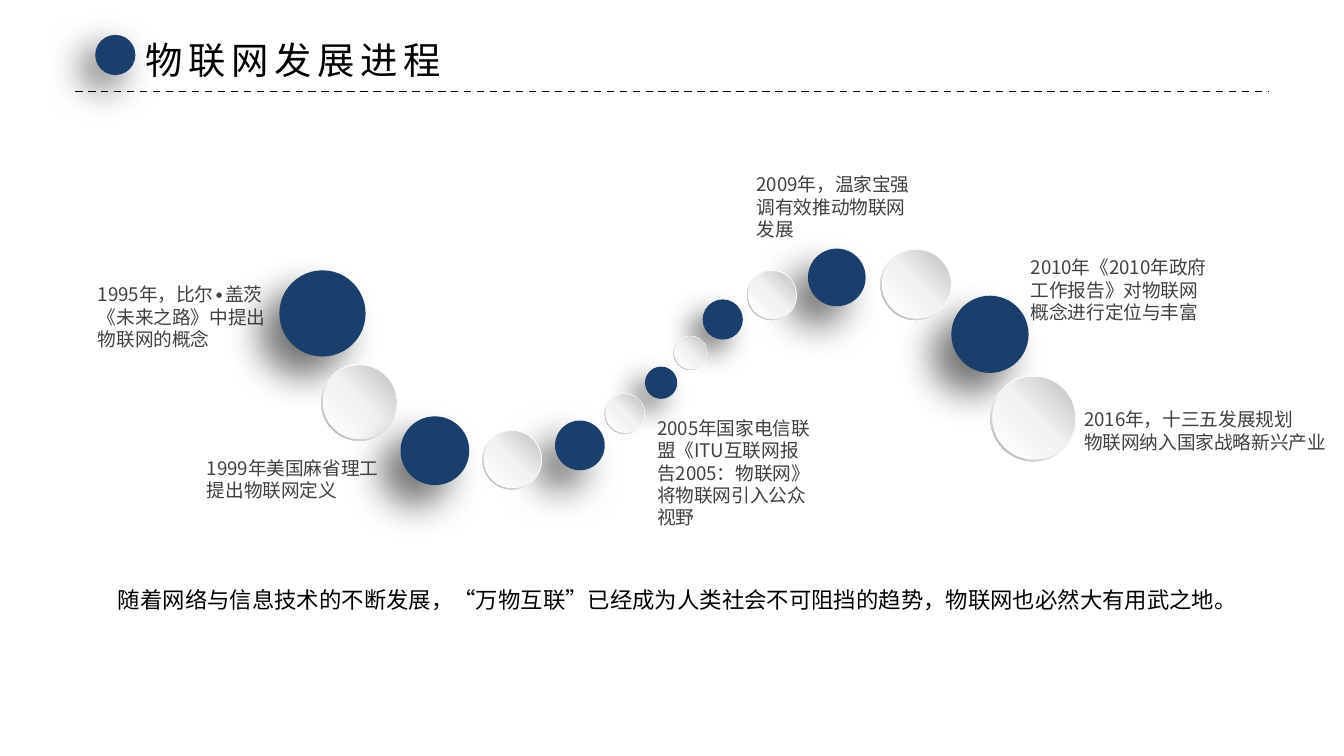
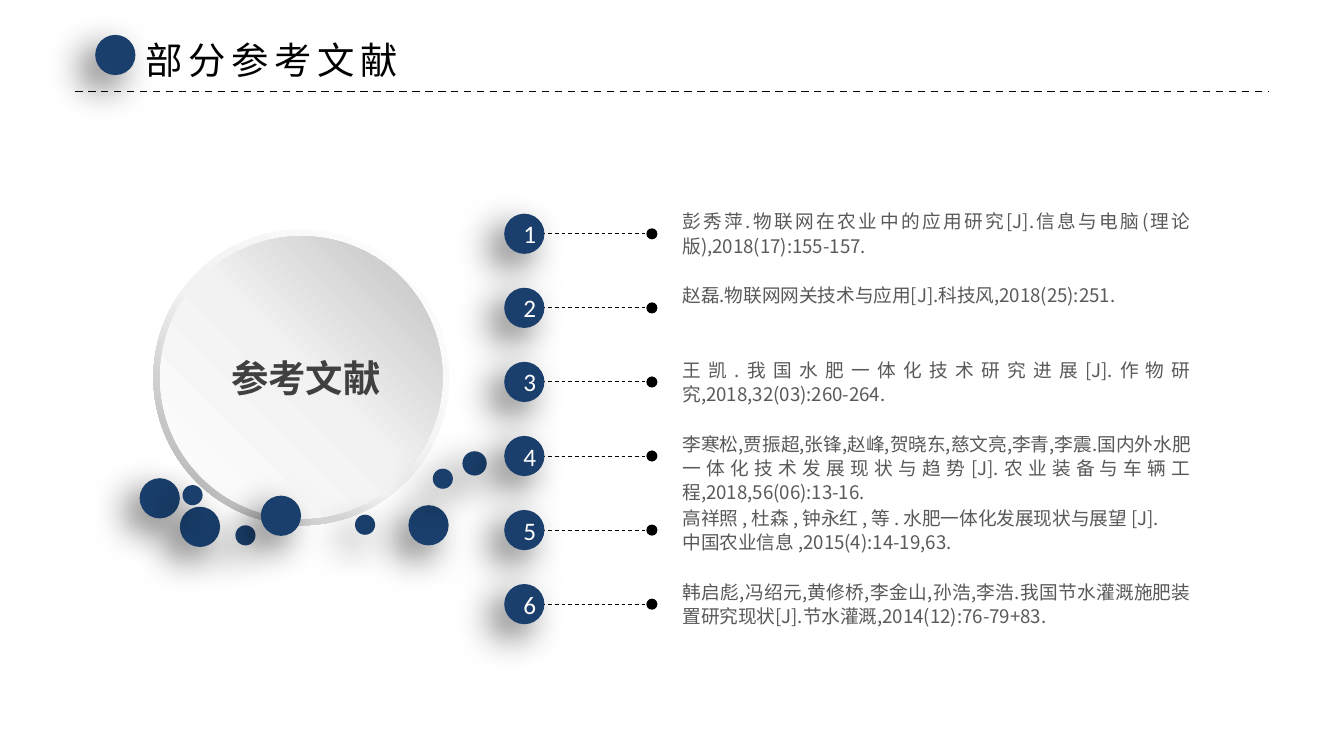
"""Build two slides on the Internet of Things: its history and the references."""
from lxml import etree
from pptx import Presentation
from pptx import util as u
from pptx.dml.color import RGBColor
from pptx.enum import dml, shapes, text
from pptx.oxml import parse_xml
from pptx.oxml.ns import nsdecls, qn


class Theme:
    navy, white, black = "1A3F6C", "FFFFFF", "000000"
    font, number_font, dot_font = "Noto Sans CJK SC", "Calibri", "Arial"
    number_size = 13.5
    title = dict(size=20, color=black, wrap=False, spc=300)
    note = dict(size=10, color="404040")
    long_note = dict(note, wrap=False)
    summary = dict(size=12, color=black, wrap=False)
    source = dict(size=10, color="595959", inset=False, leading=13,
                  align=text.PP_ALIGN.JUSTIFY)
    hub = dict(size=20, color="404040", inset=False, bold=True,
               align=text.PP_ALIGN.CENTER)
    shadows = dict(header=(60, 20, 10), large=(54, 20, 15), small=(50, 15, 10))
    rim = (135, ((0, "FFFFFF"), (55, "F2F2F2"), (100, "A6A6A6")))
    face = (315, ((0, "FFFFFF"), (51, "F2F2F2"), (100, "BFBFBF")))


def ball(s, x, y, d, kind="header"):
    """Draw a navy ball with a shadow, or a silver disc with a rim."""
    if kind == "silver":
        edge = 0.0225 * d
        parent = s.shapes.add_group_shape().shapes
        layers = [(shapes.MSO_SHAPE.DONUT, 0, Theme.rim),
                  (shapes.MSO_SHAPE.OVAL, edge, Theme.face)]
    else:
        parent = s.shapes
        layers = [(shapes.MSO_SHAPE.OVAL, 0, None)]
    for preset, gap, gradient in layers:
        side = u.Cm(d - 2 * gap)
        sp = parent.add_shape(preset, u.Cm(x + gap), u.Cm(y + gap), side, side)
        spPr = sp._element.spPr
        if gradient:
            angle, stops = gradient
            gs = "".join(f'<a:gs pos="{pos * 1000}"><a:srgbClr val="{color}"/></a:gs>'
                         for pos, color in stops)
            spPr.append(parse_xml(
                f'<a:gradFill {nsdecls("a")} rotWithShape="1"><a:gsLst>{gs}</a:gsLst>'
                f'<a:lin ang="{angle * 60000}" scaled="0"/></a:gradFill>'))
        else:
            sp.fill.solid()
            sp.fill.fore_color.rgb = RGBColor.from_string(Theme.navy)
        sp.line.fill.background()
        sp.shadow.inherit = False
        if preset == shapes.MSO_SHAPE.DONUT:
            sp.adjustments[0] = 0.049
        if not gradient:
            alpha, blur, dist = Theme.shadows[kind]
            spPr.find(qn("a:effectLst")).append(parse_xml(
                f'<a:outerShdw {nsdecls("a")} blurRad="{u.Pt(blur)}" dist="{u.Pt(dist)}" '
                f'dir="{135 * 60000}" algn="tr" rotWithShape="0">'
                f'<a:srgbClr val="{Theme.black}"><a:alpha val="{alpha * 1000}"/></a:srgbClr>'
                '</a:outerShdw>'))
    return sp


def write(s, box, lines, size, color, wrap=True, inset=True, align=None,
          leading=None, bold=None, spc=None):
    """Add a text box with one paragraph per line."""
    tf = s.shapes.add_textbox(*map(u.Cm, box)).text_frame
    tf.word_wrap = wrap
    tf.auto_size = text.MSO_AUTO_SIZE.SHAPE_TO_FIT_TEXT
    if not inset:
        tf.margin_left = tf.margin_right = tf.margin_top = tf.margin_bottom = 0
    for i, line in enumerate(lines):
        p = tf.add_paragraph() if i else tf.paragraphs[0]
        for piece in filter(None, line.partition("∙")):
            r = p.add_run()
            r.text = piece
            if piece == "∙":
                r.font.name = Theme.dot_font
        p.alignment = align
        if leading:
            p.line_spacing = u.Pt(leading)
        p.font.size, p.font.bold, p.font.name = u.Pt(size), bold, Theme.font
        p.font.color.rgb = RGBColor.from_string(color)
        defaults = p._p.pPr.find(qn("a:defRPr"))
        etree.SubElement(defaults, qn("a:ea")).set("typeface", Theme.font)
        if spc:
            defaults.set("spc", str(spc))


prs = Presentation()
prs.slide_width, prs.slide_height = u.Cm(25.4), u.Cm(14.29)
history, references = (prs.slides.add_slide(prs.slide_layouts[6]) for _ in range(2))

sources = [
    ["彭秀萍.物联网在农业中的应用研究[J].信息与电脑(理论版),2018(17):155-157."],
    ["赵磊.物联网网关技术与应用[J].科技风,2018(25):251."],
    ["王凯.我国水肥一体化技术研究进展[J].作物研究,2018,32(03):260-264."],
    ["李寒松,贾振超,张锋,赵峰,贺晓东,慈文亮,李青,李震.国内外水肥一体化技术发展现状与趋势[J].农业装备与车辆工程,2018,56(06):13-16."],
    ["高祥照 , 杜森 , 钟永红 , 等 . 水肥一体化发展现状与展望 [J].",
     "中国农业信息 ,2015(4):14-19,63."],
    ["韩启彪,冯绍元,黄修桥,李金山,孙浩,李浩.我国节水灌溉施肥装置研究现状[J].节水灌溉,2014(12):76-79+83."],
]
source_heights = [0.91, 0.46, 0.91, 1.4, 0.91, 0.91]
row_step = 1.4

rules = [(s, 1.42, 23.98, 1.73, 1, False) for s in (history, references)]
rules += [(references, 10.11, 12.32, 4.42 + row_step * i, 0.5, True)
          for i in range(len(sources))]
for s, left, right, y, weight, dotted in rules:
    rule = s.shapes.add_connector(shapes.MSO_CONNECTOR.STRAIGHT,
                                  u.Cm(left), u.Cm(y), u.Cm(right), u.Cm(y))
    rule.line.color.rgb = RGBColor.from_string(Theme.black)
    rule.line.width = u.Pt(weight)
    rule.line.dash_style = dml.MSO_LINE.DASH
    if dotted:
        etree.SubElement(rule.line._get_or_add_ln(), qn("a:tailEnd")).set("type", "oval")
    etree.SubElement(rule._element.spPr, qn("a:effectLst"))

for s, title, width in [(history, "物联网发展进程", 6.2), (references, "部分参考文献", 5.38)]:
    ball(s, 1.8, 0.66, 0.76)
    write(s, (2.51, 0.58, width, 1.12), [title], **Theme.title)

for x, y, d, kind in [
    (5.28, 5.11, 1.63, "large"), (17.98, 5.59, 1.46, "large"),
    (6.07, 6.88, 1.45, "silver"), (7.57, 7.87, 1.3, "large"),
    (15.27, 4.7, 1.09, "large"), (10.49, 7.95, 0.94, "large"),
    (13.28, 5.66, 0.76, "small"), (12.19, 6.93, 0.61, "small"),
    (18.72, 7.09, 1.63, "silver"), (16.64, 4.7, 1.35, "silver"),
    (9.12, 8.13, 1.12, "silver"), (14.12, 5.11, 0.94, "silver"),
    (11.43, 7.44, 0.76, "silver"), (12.73, 6.35, 0.64, "silver"),
]:
    ball(history, x, y, d, kind)

for box, lines, style in [
    ((1.6, 5.23, 3.89, 1.52), ["1995年，比尔∙盖茨", "《未来之路》中提出物联网的概念"], Theme.note),
    ((3.66, 8.51, 3.91, 1.12), ["1999年美国麻省理工", "提出物联网定义"], Theme.note),
    ((12.17, 7.75, 3.43, 2.39),
     ["2005年国家电信联盟《ITU互联网报告2005：物联网》将物联网引入公众视野"], Theme.note),
    ((14.05, 3.15, 3.51, 1.52), ["2009年，温家宝强调有效推动物联网发展"], Theme.note),
    ((19.23, 4.72, 3.91, 1.52),
     ["2010年《2010年政府工作报告》对物联网概念进行定位与丰富"], Theme.note),
    ((20.24, 7.59, 5.11, 1.12),
     ["2016年，十三五发展规划", "物联网纳入国家战略新兴产业"], Theme.long_note),
    ((1.98, 10.95, 21.67, 0.76),
     ["随着网络与信息技术的不断发展，“万物互联”已经成为人类社会不可阻挡的趋势，物联网也必然大有用武之地。"],
     Theme.summary),
]:
    write(history, box, lines, **style)

ball(references, 2.9, 4.34, 5.59, "silver")
for x, y, d in [(3.4, 9.58, 0.76), (4.45, 9.93, 0.38), (4.93, 9.37, 0.76),
                (6.71, 9.73, 0.38), (2.64, 9.04, 0.76), (3.45, 9.17, 0.38),
                (7.72, 9.55, 0.76), (8.74, 8.53, 0.46), (8.18, 8.86, 0.38)]:
    ball(references, x, y, d)
write(references, (3.84, 6.71, 3.89, 0.86), ["参考文献"], **Theme.hub)

for i, (lines, height) in enumerate(zip(sources, source_heights)):
    write(references, (12.9, 3.94 + row_step * i, 9.6, height), lines, **Theme.source)
    tf = ball(references, 9.53, 4.04 + row_step * i, 0.76).text_frame
    tf.vertical_anchor = text.MSO_ANCHOR.MIDDLE
    p = tf.paragraphs[0]
    p.text = str(i + 1)
    p.alignment = text.PP_ALIGN.CENTER
    p.font.size, p.font.name = u.Pt(Theme.number_size), Theme.number_font
    p.font.color.rgb = RGBColor.from_string(Theme.white)

prs.save("out.pptx")
